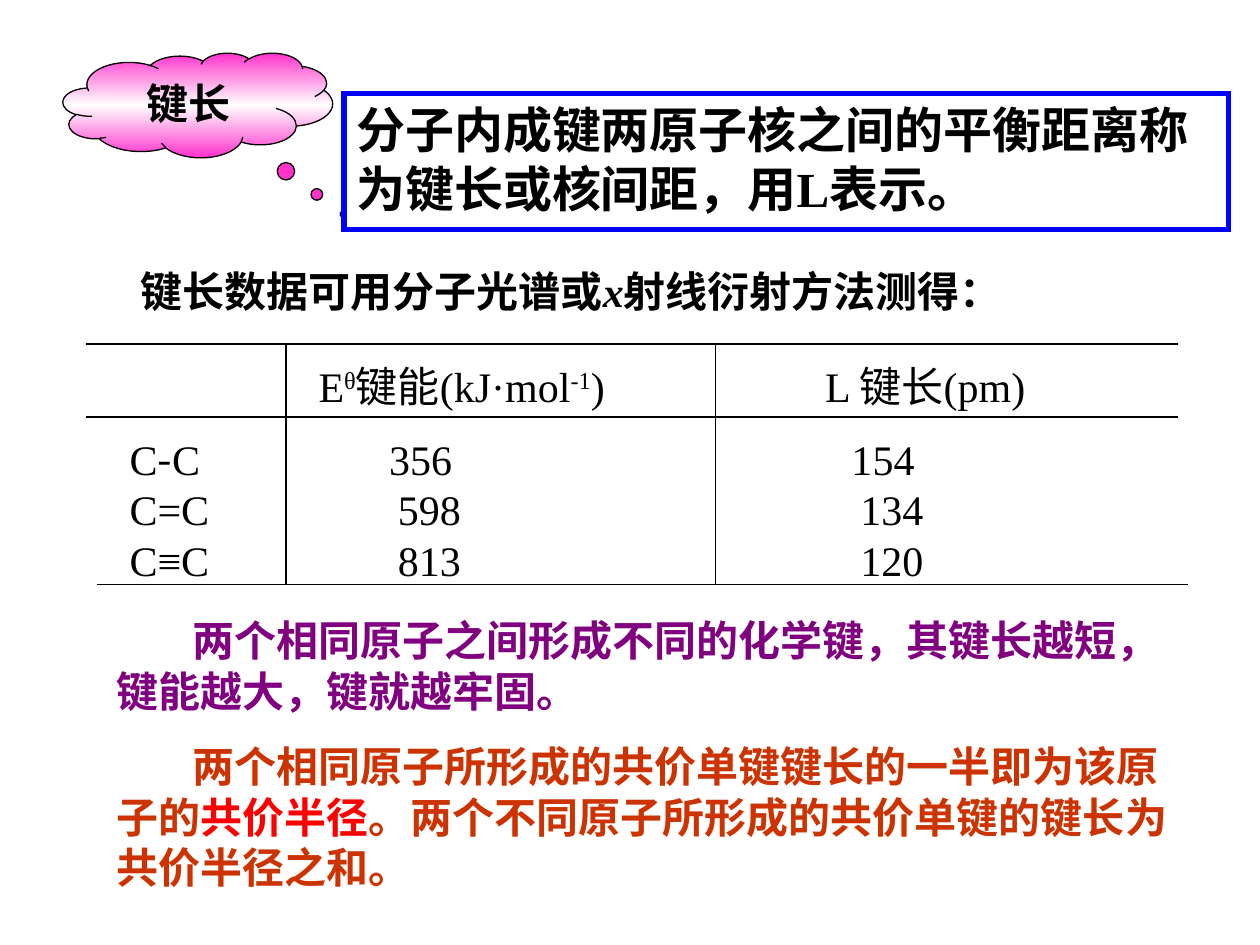
from typing import NamedTuple

from lxml import etree
from pptx import Presentation
from pptx.dml.color import RGBColor
from pptx.enum.shapes import MSO_CONNECTOR, MSO_SHAPE
from pptx.enum.text import MSO_ANCHOR, PP_ALIGN
from pptx.oxml.ns import qn
from pptx.util import Inches, Pt

CLOUD = MSO_SHAPE.CLOUD_CALLOUT
RECT = MSO_SHAPE.RECTANGLE
STRAIGHT = MSO_CONNECTOR.STRAIGHT
TOP = MSO_ANCHOR.TOP
MIDDLE = MSO_ANCHOR.MIDDLE
LEFT = PP_ALIGN.LEFT
CENTER = PP_ALIGN.CENTER
SERIF = "Times New Roman"
SANS = "Noto Sans CJK SC"
HEX = {
    "black": "000000",
    "blue": "0000FF",
    "pink": "FF33CC",
    "white": "FFFFFF",
    "purple": "800080",
    "rust": "CC3300",
    "red": "FF0000",
}


class Run(NamedTuple):
    text: str
    color: str = "black"
    face: str = SERIF
    bold: bool = True
    italic: bool = False
    base: int = 0


class Para(NamedTuple):
    runs: list[Run]
    indent: float = 0
    tabs: tuple[float, ...] = ()


class Note(NamedTuple):
    left: float
    top: float
    width: float
    height: float
    paras: list[Para]


class Line(NamedTuple):
    x1: float
    y1: float
    x2: float
    y2: float


def plain(text: str, face: str = SERIF, base: int = 0) -> Run:
    return Run(text, face=face, bold=False, base=base)


NOTES = [
    Note(1.02, 2.06, 7.68, 0.5, [Para([
        Run("键长数据可用分子光谱或", face=SANS),
        Run("x", italic=True),
        Run("射线衍射方法测得：", face=SANS),
    ])]),
    Note(2.43, 2.81, 6.85, 0.5, [Para([
        plain("E"), plain("θ", base=30), plain("键能(kJ·mol"),
        plain("-1", base=30), plain(")\tL 键长(pm)"),
    ], tabs=(4.02,))]),
    Note(0.93, 3.39, 6.56, 1.31, [
        Para([plain("C"), plain("-", SANS), plain("C\t356\t154")], tabs=(2.06, 5.73)),
        Para([plain("C=C\t598\t134")], tabs=(2.13, 5.8)),
        Para([plain("C≡C\t813\t120")], tabs=(2.13, 5.8)),
    ]),
    Note(0.83, 4.83, 8.77, 0.9, [Para([
        Run("两个相同原子之间形成不同的化学键，其键长越短，键能越大，键就越牢固。", "purple"),
    ], indent=0.6)]),
    Note(0.83, 5.83, 8.68, 1.3, [Para([
        Run("两个相同原子所形成的共价单键键长的一半即为该原子的", "rust"),
        Run("共价半径", "red"),
        Run("。两个不同原子所形成的共价单键的键长为共价半径之和。", "rust"),
    ], indent=0.6)]),
]

HEAD, FOOT = 2.73, 4.64
LINES = [
    Line(0.68, HEAD, 9.35, HEAD),
    Line(0.68, 3.31, 9.35, 3.31),
    Line(0.77, FOOT, 9.43, FOOT),
    *(Line(x, HEAD, x, FOOT) for x in (2.27, 5.68)),
]


def rgb(name: str) -> RGBColor:
    return RGBColor.from_string(HEX[name])


def write(para, runs: list[Run], size: float = 24) -> None:
    para.font.size = Pt(size)
    for item in runs:
        run = para.add_run()
        run.text = item.text
        font = run.font
        font.size = Pt(size)
        font.name = item.face
        font.bold = item.bold
        font.italic = item.italic
        font.color.rgb = rgb(item.color)
        font._element.set("baseline", str(item.base * 1000))


def add_box(slide, kind, area: tuple, color: str, width: float):
    shape = slide.shapes.add_shape(kind, *map(Inches, area))
    shape.shadow.inherit = False
    shape.fill.background()
    shape.line.color.rgb = rgb(color)
    shape.line.width = Pt(width)
    etree.SubElement(shape.line._get_or_add_ln(), qn("a:miter"), lim="800000")
    return shape


def blend(shape, names: list[str]) -> None:
    """Fill the shape with evenly spaced colours from top to bottom."""
    shape.fill.gradient()
    shape.fill.gradient_angle = 90
    stops = shape._element.spPr.find(qn("a:gradFill")).find(qn("a:gsLst"))
    for old in list(stops):
        stops.remove(old)
    for i, name in enumerate(names):
        pos = str(100000 * i // (len(names) - 1))
        stop = etree.SubElement(stops, qn("a:gs"), pos=pos)
        etree.SubElement(stop, qn("a:srgbClr"), val=HEX[name])


def add_cloud(slide) -> None:
    cloud = add_box(slide, CLOUD, (0.5, 0.42, 2.14, 0.83), "black", 0.75)
    cloud.adjustments[0] = 0.539
    cloud.adjustments[1] = 1.042
    blend(cloud, ["pink", "white", "pink"])
    frame = cloud.text_frame
    frame.word_wrap = False
    frame.vertical_anchor = MIDDLE
    frame.paragraphs[0].alignment = CENTER
    write(frame.paragraphs[0], [Run("键长")])


def add_rule(slide) -> None:
    """Add the framed definition."""
    box = add_box(slide, RECT, (2.73, 0.74, 7.02, 1.08), "blue", 3)
    frame = box.text_frame
    frame.word_wrap = True
    frame.vertical_anchor = TOP
    frame.paragraphs[0].alignment = LEFT
    text = "分子内成键两原子核之间的平衡距离称为键长或核间距，用L表示。"
    write(frame.paragraphs[0], [Run(text)], 28)


def add_note(slide, note: Note) -> None:
    box = slide.shapes.add_textbox(*map(Inches, note[:4]))
    frame = box.text_frame
    frame.word_wrap = True
    for i, item in enumerate(note.paras):
        para = frame.add_paragraph() if i else frame.paragraphs[0]
        props = para._p.get_or_add_pPr()
        if item.indent:
            props.set("indent", str(Inches(item.indent)))
        if item.tabs:
            stops = etree.SubElement(props, qn("a:tabLst"))
            for tab in item.tabs:
                etree.SubElement(stops, qn("a:tab"), pos=str(Inches(tab)), algn="l")
        write(para, item.runs)


def add_line(slide, line: Line) -> None:
    link = slide.shapes.add_connector(STRAIGHT, *map(Inches, line))
    link.line.color.rgb = rgb("black")
    link.line.width = Pt(0.75)
    etree.SubElement(link._element.spPr, qn("a:effectLst"))


def main() -> None:
    deck = Presentation()
    deck.slide_width, deck.slide_height = Inches(10), Inches(7.5)
    slide = deck.slides.add_slide(deck.slide_layouts[6])
    add_cloud(slide)
    add_rule(slide)
    for line in LINES:
        add_line(slide, line)
    for note in NOTES:
        add_note(slide, note)
    deck.save("out.pptx")


if __name__ == "__main__":
    main()
